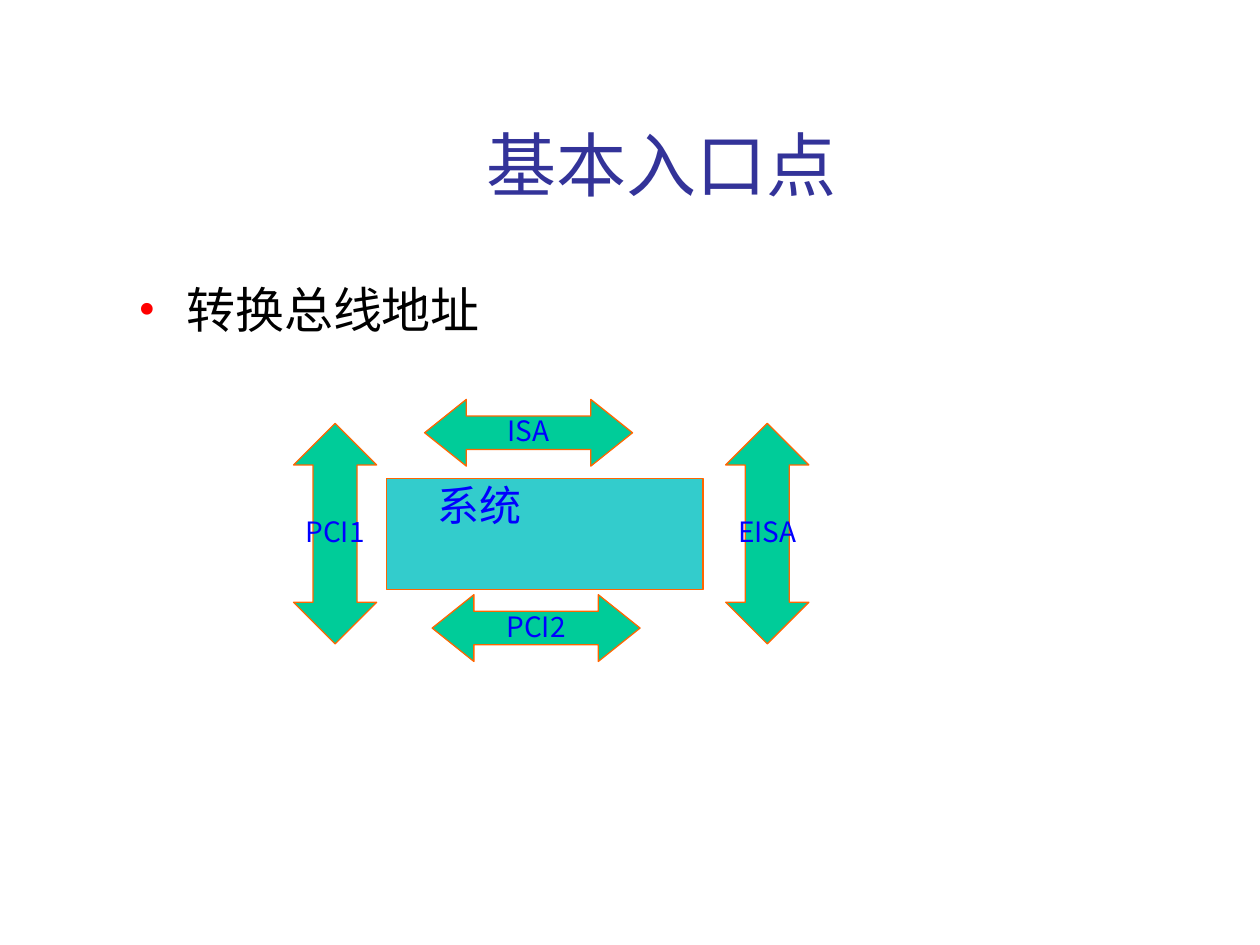
from lxml import etree
from pptx import Presentation
from pptx.dml.color import RGBColor
from pptx.enum.shapes import MSO_SHAPE as Preset
from pptx.enum.text import MSO_ANCHOR as Anchor, PP_ALIGN as Align
from pptx.oxml.ns import qn
from pptx.util import Inches, Pt

SANS = "Noto Sans CJK SC"


def color(value):
    return RGBColor.from_string(value)


def write(box, text, size, ink="0000FF", font=SANS, align=Align.CENTER,
          anchor=Anchor.MIDDLE, wrap=True, spacing=None):
    frame = box.text_frame
    frame.word_wrap = wrap
    frame.vertical_anchor = anchor
    para = frame.paragraphs[0]
    para.alignment = align
    para.line_spacing = spacing
    span = para.add_run()
    span.text = text
    span.font.size = Pt(size)
    span.font.name = font
    span.font.color.rgb = color(ink)
    east_asian = etree.SubElement(span.font._element, qn("a:ea"))
    east_asian.set("typeface", SANS)
    return para


deck = Presentation()
deck.slide_width, deck.slide_height = Inches(10), Inches(7.5)
page = deck.slides.add_slide(deck.slide_layouts[5])

# Title
title = page.shapes.title
title.left, title.top = Inches(1), Inches(0.67)
title.width, title.height = Inches(8.5), Inches(1.25)
write(title, "基本入口点", 40, ink="333399", font="Times New Roman")

# Bullet point
body = page.shapes.add_textbox(Inches(1), Inches(2.17), Inches(8.25), Inches(4.5))
para = write(body, "转换总线地址", 28, ink="000000", align=Align.LEFT, anchor=Anchor.TOP)
props = para._p.get_or_add_pPr()
props.set("marL", str(Inches(0.38)))
props.set("indent", str(-Inches(0.38)))
bullet_color = etree.SubElement(props, qn("a:buClr"))
etree.SubElement(bullet_color, qn("a:srgbClr")).set("val", "FF0000")
etree.SubElement(props, qn("a:buFont")).set("typeface", "Times New Roman")
etree.SubElement(props, qn("a:buChar")).set("char", "•")

# System block with a bus arrow on each side
UPRIGHT = (Preset.UP_DOWN_ARROW, 0.66, 1.75, 0.529)
LEVEL = (Preset.LEFT_RIGHT_ARROW, 1.65, 0.53, 0.625)
BLOCK = (Preset.RECTANGLE, 2.51, 0.88, None)
parts = [
    ("系统", BLOCK, 3.07, 3.8),
    ("EISA", UPRIGHT, 5.76, 3.36),
    ("ISA", LEVEL, 3.37, 3.17),
    ("PCI2", LEVEL, 3.43, 4.72),
    ("PCI1", UPRIGHT, 2.33, 3.36),
]
for label, (preset, width, height, head), left, top in parts:
    shape = page.shapes.add_shape(preset, Inches(left), Inches(top),
                                  Inches(width), Inches(height))
    shape.shadow.inherit = False
    shape.fill.solid()
    shape.fill.fore_color.rgb = color("00CC99" if head else "33CCCC")
    shape.line.color.rgb = color("FF6600")
    shape.line.width = Pt(0.74)
    if head:
        shape.adjustments[0], shape.adjustments[1] = 0.5, head
        write(shape, label, 16, wrap=False, spacing=0.9)
    else:
        para = write(shape, label, 24, align=Align.LEFT, anchor=Anchor.TOP, spacing=0.9)
        para._p.get_or_add_pPr().set("marL", str(Inches(0.3)))

deck.save("out.pptx")
